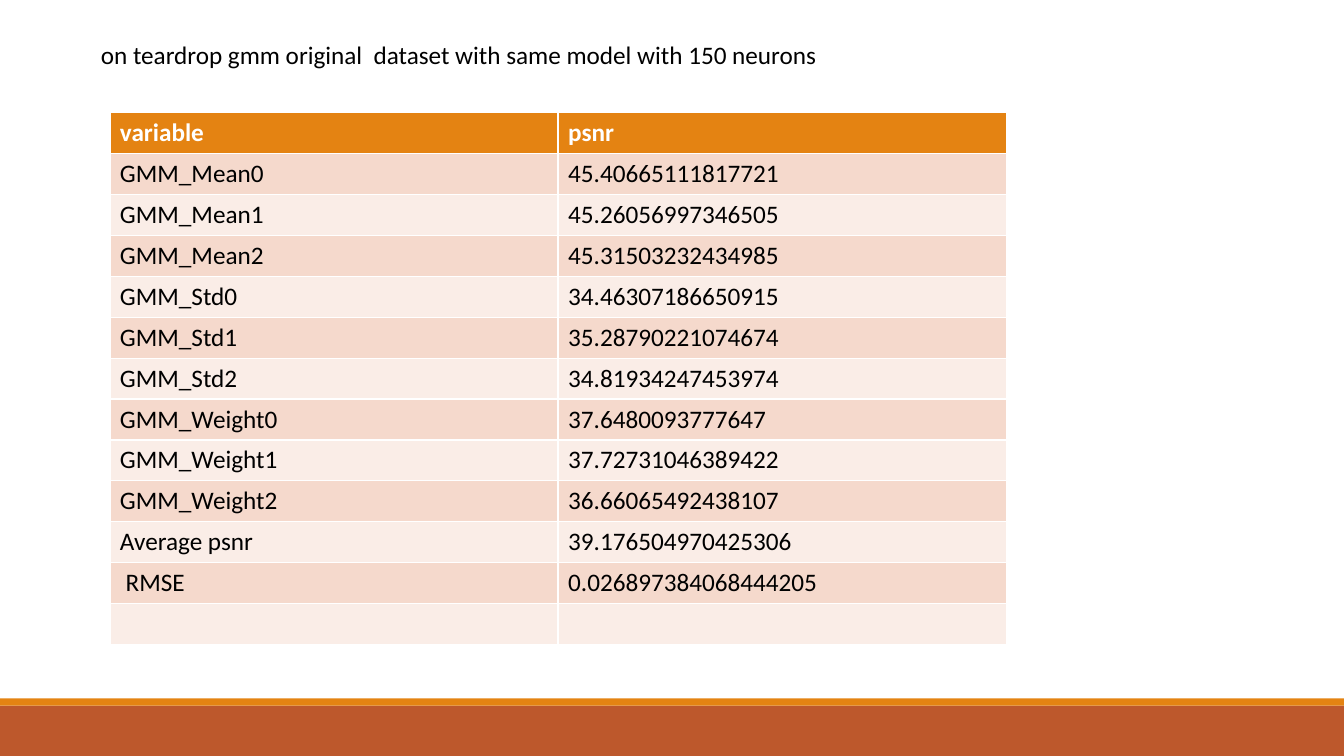
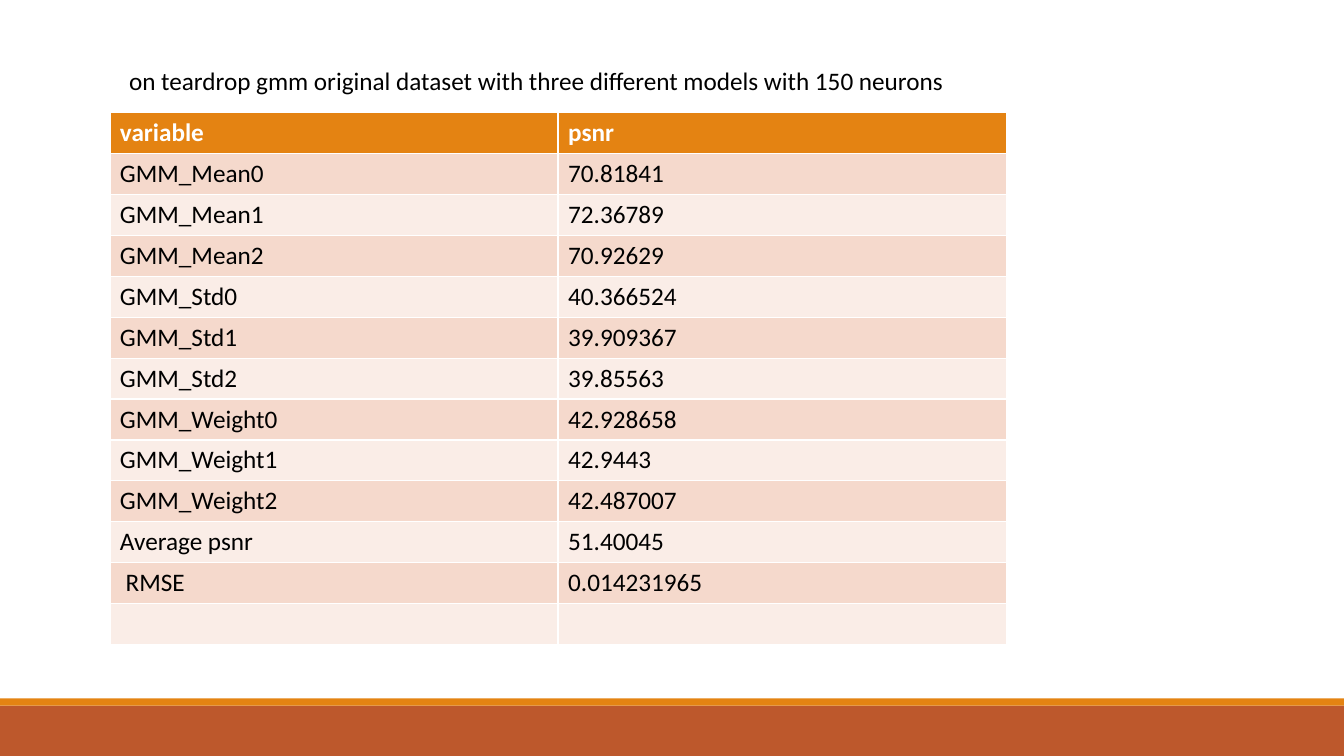
from dataclasses import dataclass

from pptx import Presentation
from pptx.dml.color import RGBColor
from pptx.enum.shapes import MSO_SHAPE
from pptx.enum.text import MSO_ANCHOR, MSO_AUTO_SIZE, PP_ALIGN
from pptx.util import Inches, Pt

FONT = "Calibri"
BLACK, WHITE = "000000", "FFFFFF"
ORANGE, RUST = "E48312", "BD582C"
ROW_FILLS = ("F5D9CC", "FAEDE7")
PAGE_WIDTH, PAGE_HEIGHT = 13.33, 7.5

HEADER = ("variable", "psnr")
VARIABLES = (
    *(f"GMM_{name}{index}" for name in ("Mean", "Std", "Weight") for index in range(3)),
    "Average psnr",
    " RMSE",
    "",
)


@dataclass(frozen=True)
class Band:
    top: float
    height: float
    colour: str


@dataclass(frozen=True)
class ResultPage:
    title: str
    title_area: tuple[float, float, float, float]
    scores: tuple[str, ...]


BANDS = (Band(7, 0.5, RUST), Band(6.93, 0.07, ORANGE))

PAGES = (
    ResultPage(
        "on teardrop gmm original  dataset with same model with 150 neurons",
        (0.9, 0.34, 7.52, 0.71),
        (
            "45.40665111817721", "45.26056997346505", "45.31503232434985",
            "34.46307186650915", "35.28790221074674", "34.81934247453974",
            "37.6480093777647", "37.72731046389422", "36.66065492438107",
            "39.176504970425306", "0.026897384068444205", "",
        ),
    ),
    ResultPage(
        "on teardrop gmm original dataset with three different models with 150 neurons",
        (1.18, 0.6, 10.96, 0.4),
        (
            "70.81841", "72.36789", "70.92629",
            "40.366524", "39.909367", "39.85563",
            "42.928658", "42.9443", "42.487007",
            "51.40045", "0.014231965", "",
        ),
    ),
)


def paint(fill, colour: str) -> None:
    fill.solid()
    fill.fore_color.rgb = RGBColor.from_string(colour)


def write_text(frame, text: str, *, colour: str = BLACK, bold: bool = False,
               size: float = 18) -> None:
    para = frame.paragraphs[0]
    para.alignment = PP_ALIGN.LEFT
    para.font.size = Pt(size)
    if not text:
        return
    span = para.add_run()
    span.text = text
    span.font.name = FONT
    span.font.size = Pt(size)
    span.font.bold = bold
    span.font.color.rgb = RGBColor.from_string(colour)


def add_bands(page) -> None:
    for band in BANDS:
        box = page.shapes.add_shape(
            MSO_SHAPE.RECTANGLE, 0, Inches(band.top), Inches(PAGE_WIDTH), Inches(band.height)
        )
        box.shadow.inherit = False
        box.line.fill.background()
        paint(box.fill, band.colour)


def set_title(page, text: str, area: tuple[float, float, float, float]) -> None:
    title = page.shapes.title
    title.left, title.top, title.width, title.height = map(Inches, area)
    frame = title.text_frame
    frame.word_wrap = True
    frame.auto_size = MSO_AUTO_SIZE.NONE
    frame.vertical_anchor = MSO_ANCHOR.TOP
    write_text(frame, text)


def add_score_table(page, scores: tuple[str, ...]) -> None:
    """Add the table; its default style supplies the white cell borders."""
    rows = (HEADER, *zip(VARIABLES, scores))
    table = page.shapes.add_table(
        len(rows), len(HEADER), Inches(1.09), Inches(1.12), Inches(8.89), Inches(5.27)
    ).table
    for row_index, texts in enumerate(rows):
        is_header = row_index == 0
        fill = ORANGE if is_header else ROW_FILLS[(row_index - 1) % 2]
        for column_index, text in enumerate(texts):
            cell = table.cell(row_index, column_index)
            paint(cell.fill, fill)
            write_text(cell.text_frame, text,
                       colour=WHITE if is_header else BLACK, bold=is_header)


def main() -> None:
    deck = Presentation()
    deck.slide_width, deck.slide_height = Inches(PAGE_WIDTH), Inches(PAGE_HEIGHT)
    title_only = deck.slide_layouts.get_by_name("Title Only")
    for result in PAGES:
        page = deck.slides.add_slide(title_only)
        paint(page.background.fill, WHITE)
        add_bands(page)
        set_title(page, result.title, result.title_area)
        add_score_table(page, result.scores)
    deck.save("out.pptx")


if __name__ == "__main__":
    main()
